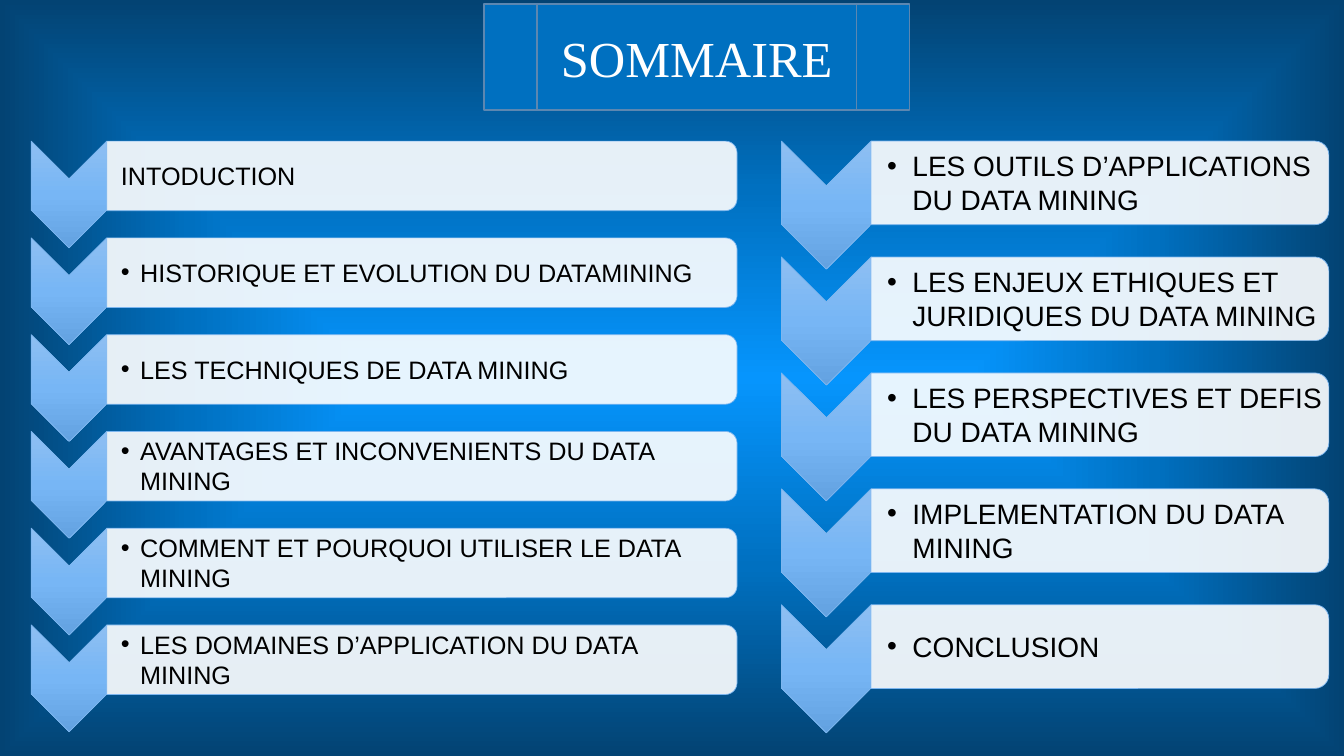
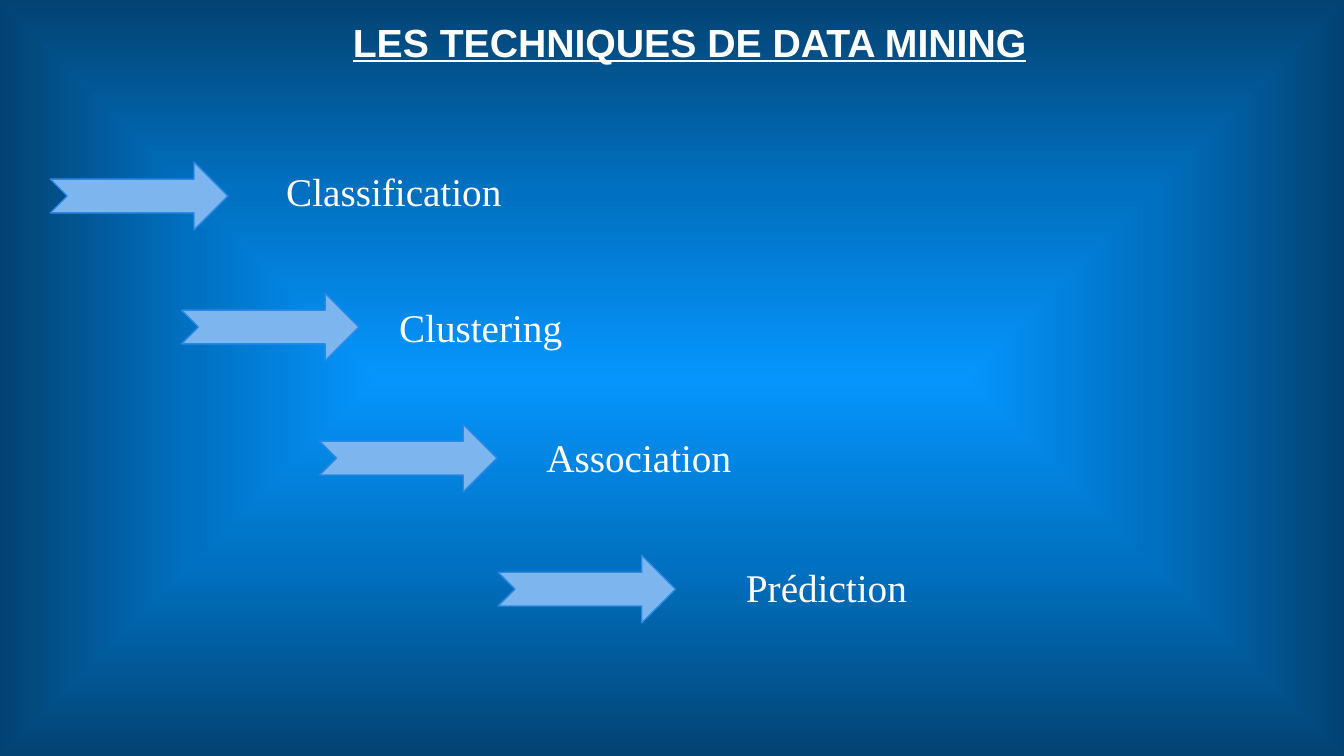
"""Build a two-slide deck on data mining: the agenda and the techniques."""
from lxml.etree import SubElement
from pptx import Presentation
from pptx.dml.color import RGBColor as RGB
from pptx.enum.shapes import MSO_SHAPE as SHAPE
from pptx.enum.text import MSO_ANCHOR as ANCHOR, PP_ALIGN as ALIGN
from pptx.oxml import parse_xml
from pptx.oxml.ns import nsdecls, qn
from pptx.util import Inches, Pt

COLORS = {
    "white": "FFFFFF", "black": "000000", "blue": "0070C0", "frame": "5C87B1",
    "sky": "7DB6EF", "edge": "2C88E5",
}
BACKDROP = ["0695FD", "0070C0", "034373"]
CHEVRON = ["8EBFF2", "77B6F5", "63A2E1"]
RADIAL = '<a:path {} path="shape"><a:fillToRect l="50000" t="50000" r="50000" b="50000"/></a:path>'
DOWN = '<a:lin {} ang="5400000" scaled="0"/>'
SERIF = {"name": "Times New Roman", "size": Pt(28)}
SANS = {"name": "Arial"}


def add_shape(s, kind, x, y, w, h, fill, line, width, turned=False):
    if turned:
        x, y, w, h = x + (w - h) / 2, y + (h - w) / 2, h, w
    sp = s.shapes.add_shape(kind, Inches(x), Inches(y), Inches(w), Inches(h))
    sp.rotation = 90 if turned else 0
    sp.shadow.inherit = False
    sp.fill.solid()
    sp.fill.fore_color.rgb = RGB.from_string(COLORS[fill])
    sp.line.color.rgb = RGB.from_string(COLORS[line])
    sp.line.width = Pt(width)
    return sp


def write(sp, text, font, color, frame=None, align=ALIGN.LEFT):
    tf = sp.text_frame
    tf.word_wrap = True
    p = tf.paragraphs[0]
    p.alignment = align
    r = p.add_run()
    r.text = text
    r.font.color.rgb = RGB.from_string(COLORS[color])
    for target, values in ((tf, frame or {}), (r.font, font)):
        for key, value in values.items():
            setattr(target, key, value)
    return p


prs = Presentation()
prs.slide_width, prs.slide_height = Inches(13.33), Inches(7.5)
blank = prs.slide_layouts[6]
master = prs.slide_master
master.background.fill.gradient()
gradients = [(master.element, BACKDROP, RADIAL)]

s = prs.slides.add_slide(blank)
sp = add_shape(s, SHAPE.FLOWCHART_PREDEFINED_PROCESS, 4.8, 0.04, 4.22, 1.05, "blue", "frame", 1)
write(sp, "SOMMAIRE", SERIF | {"size": Pt(36)}, "white",
      {"vertical_anchor": ANCHOR.MIDDLE}, ALIGN.CENTER)

columns = [
    {"x": 0.31, "step": 0.96, "chevron": (0.75, 1.06), "bar": (6.25, 0.69),
     "size": 18, "inset": 0.14, "hang": 0.19, "items": [
         "INTODUCTION",
         "HISTORIQUE ET EVOLUTION DU DATAMINING",
         "LES TECHNIQUES DE DATA MINING",
         "AVANTAGES ET INCONVENIENTS DU DATA MINING",
         "COMMENT ET POURQUOI UTILISER LE DATA MINING",
         "LES DOMAINES D’APPLICATION DU DATA MINING"]},
    {"x": 7.75, "step": 1.15, "chevron": (0.89, 1.27), "bar": (4.54, 0.83),
     "size": 20, "inset": 0.16, "hang": 0.25, "items": [
         "LES OUTILS D’APPLICATIONS DU DATA MINING",
         "LES ENJEUX ETHIQUES ET JURIDIQUES DU DATA MINING",
         "LES PERSPECTIVES ET DEFIS DU DATA MINING",
         "IMPLEMENTATION DU DATA MINING",
         "CONCLUSION"]},
]
for col in columns:
    bar_x = col["x"] + col["chevron"][0]
    bar_w, bar_h = col["bar"]
    frame = {"vertical_anchor": ANCHOR.MIDDLE, "margin_left": Inches(col["inset"])}
    frame |= {f"margin_{side}": Inches(0.01) for side in ("top", "right", "bottom")}
    for i, item in enumerate(col["items"]):
        y = 1.4 + i * col["step"]
        sp = add_shape(s, SHAPE.CHEVRON, col["x"], y, *col["chevron"], "sky", "sky", 0.5, True)
        sp.fill.gradient()
        gradients.append((sp.element, CHEVRON, DOWN))
        sp = add_shape(s, SHAPE.ROUND_2_SAME_RECTANGLE, bar_x, y, bar_w, bar_h,
                       "white", "sky", 0.5, True)
        SubElement(sp.element.find(".//" + qn("a:srgbClr")), qn("a:alpha"), val="90000")
        sp = s.shapes.add_textbox(Inches(bar_x), Inches(y + 0.03),
                                  Inches(bar_w - 0.04), Inches(bar_h - 0.07))
        p = write(sp, item, SANS | {"size": Pt(col["size"])}, "black", frame)
        if item != "INTODUCTION":
            pPr = p._p.get_or_add_pPr()
            pPr.set("marL", str(Inches(col["hang"])))
            pPr.set("indent", str(-Inches(col["hang"])))
            SubElement(pPr, qn("a:buFont"), typeface="Arial")
            SubElement(pPr, qn("a:buChar"), char="•")

s = prs.slides.add_slide(blank)
sp = s.shapes.add_textbox(Inches(2.46), Inches(0.13), Inches(8.26), Inches(0.57))
p = write(sp, "LES TECHNIQUES DE DATA MINING",
          SANS | {"size": Pt(28), "bold": True, "underline": True}, "white", align=ALIGN.CENTER)
p._p.get_or_add_pPr().set("marL", str(Inches(0.5)))

techniques = [
    ("Classification", 0.5, 2.74, 1.61, 3.18),
    ("Clustering", 1.8, 3.86, 2.96, 2.32),
    ("Association", 3.17, 5.32, 4.25, 2.69),
    ("Prédiction", 4.94, 7.3, 5.54, 2.39),
]
for i, (name, arrow_x, x, y, w) in enumerate(techniques):
    add_shape(s, SHAPE.NOTCHED_RIGHT_ARROW, arrow_x, 1.61 + i * 1.3, 1.76, 0.67, "sky", "edge", 1)
    sp = s.shapes.add_textbox(Inches(x), Inches(y), Inches(w), Inches(0.63))
    write(sp, name, SERIF, "white")

for element, stops, direction in gradients:
    grad = element.find(".//" + qn("a:gradFill"))
    grad.clear()
    grad.set("rotWithShape", "0")
    gsLst = SubElement(grad, qn("a:gsLst"))
    for i, color in enumerate(stops):
        gs = SubElement(gsLst, qn("a:gs"), pos=str(i * 50000))
        SubElement(gs, qn("a:srgbClr"), val=color)
    grad.append(parse_xml(direction.format(nsdecls("a"))))

prs.save("out.pptx")
